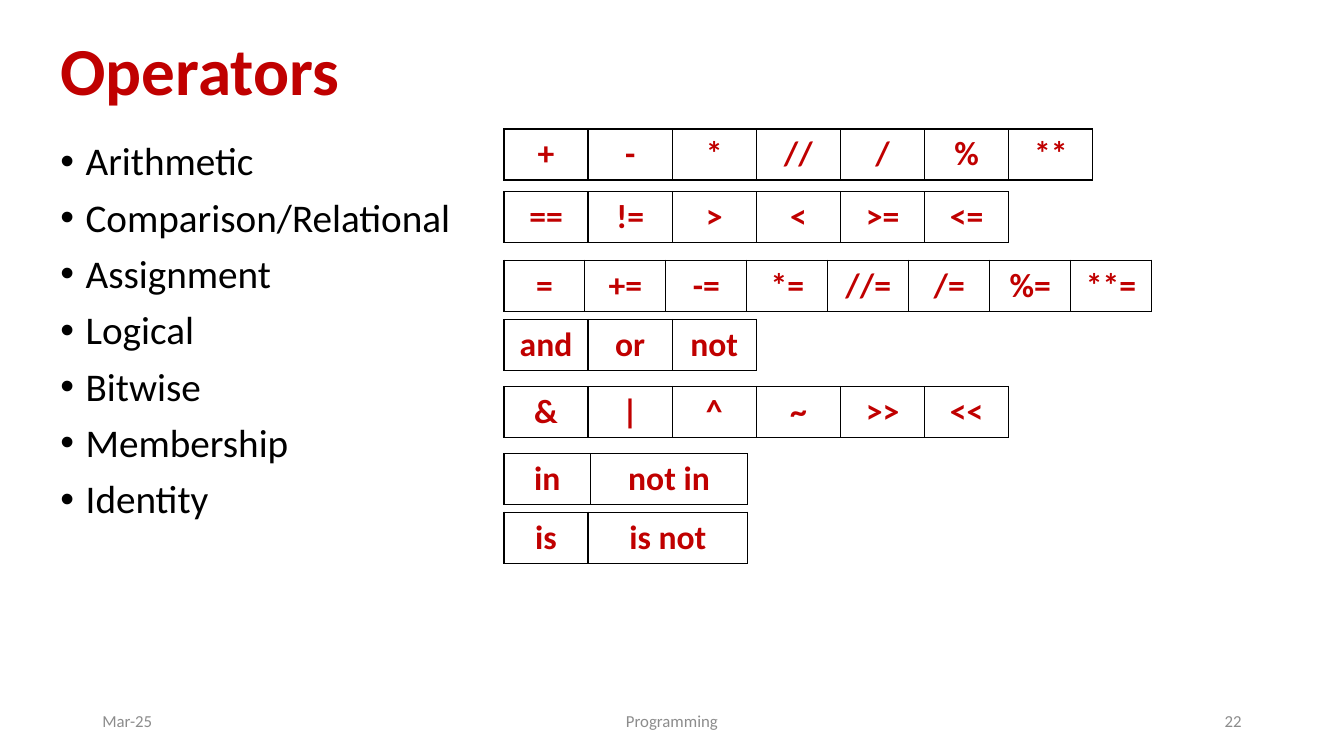
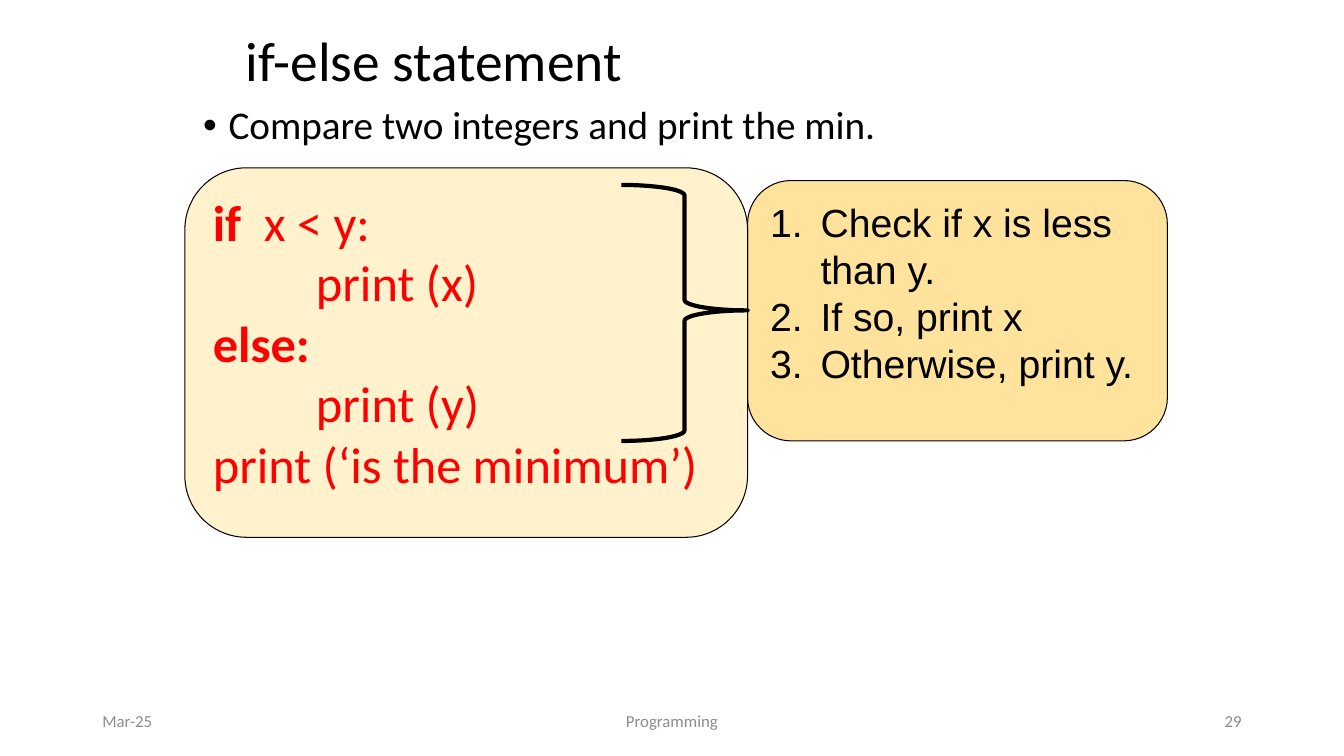
from lxml.etree import SubElement
from pptx import Presentation
from pptx.dml.color import RGBColor
from pptx.enum.shapes import MSO_SHAPE
from pptx.enum.text import MSO_ANCHOR, MSO_AUTO_SIZE, PP_ALIGN
from pptx.oxml.ns import qn
from pptx.util import Cm, Pt

COLORS = {
    "black": "000000",
    "crimson": "C00000",
    "red": "FF0000",
    "gray": "8C8C8C",
    "cream": "FFF2CC",
    "sand": "FFE39D",
}
BULLET = ("buChar", {"char": "•"})
NUMBER = ("buAutoNum", {"type": "arabicPeriod"})


def color(name):
    return RGBColor.from_string(COLORS[name])


def lengths(*values):
    return [Cm(value) for value in values]


def set_values(target, values):
    for name, value in values.items():
        setattr(target, name, value)


class Deck:
    """Holds the shared style and the page being filled."""

    frame_style = {"word_wrap": True, "auto_size": MSO_AUTO_SIZE.NONE}
    outline_style = {"line_spacing": 0.9, "space_before": Pt(10)}
    footer_parts = [  # left, width, alignment
        (2.33, 7.62, PP_ALIGN.LEFT),
        (11.22, 11.43, PP_ALIGN.CENTER),
        (23.92, 7.62, PP_ALIGN.RIGHT),
    ]

    def __init__(self):
        self.show = Presentation()
        set_values(self.show, {"slide_width": Cm(33.87), "slide_height": Cm(19.05)})
        self.page = None

    def add_page(self, number):
        self.page = self.show.slides.add_slide(self.show.slide_layouts[5])
        texts = ("Mar-25", "Programming", str(number))
        for text, (left, width, align) in zip(texts, self.footer_parts):
            self.text_box((left, 17.65, width, 1.02), [text], 12, "gray",
                          {"alignment": align}, MSO_ANCHOR.MIDDLE)

    def fill_text(self, frame, lines, size, ink, para_style=None, font="Calibri", bold=False):
        """A line is a string or a list of (text, bold) spans."""
        for index, line in enumerate(lines):
            para = frame.add_paragraph() if index else frame.paragraphs[0]
            set_values(para, para_style or {})
            spans = [(line, bold)] if isinstance(line, str) else line
            for text, heavy in spans:
                span = para.add_run()
                span.text = text
                set_values(span.font, {"name": font, "size": Pt(size), "bold": heavy})
                span.font.color.rgb = color(ink)

    def indent(self, para, left, hanging=0, marker=None):
        properties = para._p.get_or_add_pPr()
        properties.set("marL", str(Cm(left)))
        properties.set("indent", str(-Cm(hanging)))
        if marker:
            tag, values = marker
            SubElement(properties, qn("a:buFont"), typeface="Arial")
            SubElement(properties, qn("a:" + tag), **values)

    def title(self, area, text, size, ink, bold=False):
        holder = self.page.shapes.title
        set_values(holder, dict(zip(("left", "top", "width", "height"), lengths(*area))))
        frame = holder.text_frame
        set_values(frame, {**self.frame_style, "vertical_anchor": MSO_ANCHOR.MIDDLE})
        self.fill_text(frame, [text], size, ink,
                       {"alignment": PP_ALIGN.LEFT, "line_spacing": 0.9}, bold=bold)

    def text_box(self, area, lines, size, ink, para_style=None, anchor=MSO_ANCHOR.TOP):
        frame = self.page.shapes.add_textbox(*lengths(*area)).text_frame
        set_values(frame, {**self.frame_style, "vertical_anchor": anchor})
        self.fill_text(frame, lines, size, ink, para_style)
        return frame

    def bullets(self, area, lines):
        frame = self.text_box(area, lines, 28, "black", self.outline_style)
        for para in frame.paragraphs:
            self.indent(para, 0.64, 0.64, BULLET)

    def shape(self, kind, area, fill, line_width):
        shape = self.page.shapes.add_shape(kind, *lengths(*area))
        shape.shadow.inherit = False
        shape.fill.solid()
        shape.fill.fore_color.rgb = color(fill)
        shape.line.color.rgb = color("black")
        shape.line.width = Pt(line_width)
        return shape

    def panel(self, area, fill, lines, size, ink, font="Calibri"):
        box = self.shape(MSO_SHAPE.ROUNDED_RECTANGLE, area, fill, 0.75)
        frame = box.text_frame
        set_values(frame, {**self.frame_style, "vertical_anchor": MSO_ANCHOR.TOP})
        self.fill_text(frame, lines, size, ink, {"alignment": PP_ALIGN.LEFT}, font)
        return frame.paragraphs

    def brace(self, area, fill):
        brace = self.shape(MSO_SHAPE.LEFT_BRACE, area, fill, 3)
        brace.rotation = 180
        brace.adjustments[1] = 0.51

    def operator_row(self, left, top, widths, symbols):
        height = 1.27
        table = self.page.shapes.add_table(
            1, len(symbols), *lengths(left, top, sum(widths), height)).table
        set_values(table, {"first_row": False, "horz_banding": False})
        for column, width in zip(table.columns, widths):
            column.width = Cm(width)
        for cell, symbol in zip(table.rows[0].cells, symbols):
            cell.vertical_anchor = MSO_ANCHOR.MIDDLE
            self.fill_text(cell.text_frame, [symbol], 24, "crimson",
                           {"alignment": PP_ALIGN.CENTER}, bold=True)
            self.cell_borders(cell)
            cell.fill.background()

    def cell_borders(self, cell):
        properties = cell._tc.get_or_add_tcPr()
        for side in ("lnL", "lnR", "lnT", "lnB"):
            edge = SubElement(properties, qn("a:" + side), w=str(Pt(1)))
            paint = SubElement(edge, qn("a:solidFill"))
            SubElement(paint, qn("a:srgbClr"), val=COLORS["black"])


def operators_page(deck):
    deck.add_page(22)
    deck.title((1.27, 0.28, 22.86, 3.18), "Operators", 48, "crimson", bold=True)
    deck.bullets((1.27, 3.45, 26.47, 14.71), [
        "Arithmetic", "Comparison/Relational", "Assignment", "Logical",
        "Bitwise", "Membership", "Identity"])

    # One row of symbols per operator group: top, column widths, symbols
    cell = 2.12
    groups = [
        (3.25, [cell] * 7, ["+", "-", "*", "//", "/", "%", "**"]),
        (4.83, [cell] * 6, ["==", "!=", ">", "<", ">=", "<="]),
        (6.56, [2.04] * 8, ["=", "+=", "-=", "*=", "//=", "/=", "%=", "**="]),
        (8.05, [cell] * 3, ["and", "or", "not"]),
        (9.74, [cell] * 6, ["&", "|", "^", "~", ">>", "<<"]),
        (11.43, [2.18, 3.96], ["in", "not in"]),
        (12.91, [cell, 4.02], ["is", "is not"]),
    ]
    for top, widths, symbols in groups:
        deck.operator_row(12.7, top, widths, symbols)


def if_else_page(deck):
    deck.add_page(29)
    deck.title((5.93, 0.85, 21.59, 1.48), "if-else statement", 39.6, "black")
    deck.bullets((4.87, 2.54, 24.55, 3.18), ["Compare two integers and print the min."])

    # Explanation steps
    steps = deck.panel((18.84, 4.55, 10.58, 6.56), "sand", [
        "Check if x is less than y.", "If so, print x", "Otherwise, print y."],
        28, "black", "Arial")
    for step in steps:
        deck.indent(step, 1.27, 1.27, NUMBER)

    # Code, with the branch bodies indented
    code = deck.panel((4.66, 4.23, 14.18, 9.31), "cream", [
        [("if ", True), (" x < y:", False)],
        "print (x)",
        [("else:", True)],
        "print (y)",
        "print (‘is the minimum’)"], 36, "red")
    for branch in (code[1], code[3]):
        deck.indent(branch, 2.6)

    deck.brace((15.66, 4.66, 3.18, 6.45), "cream")


def main():
    deck = Deck()
    operators_page(deck)
    if_else_page(deck)
    deck.show.save("out.pptx")


if __name__ == "__main__":
    main()
